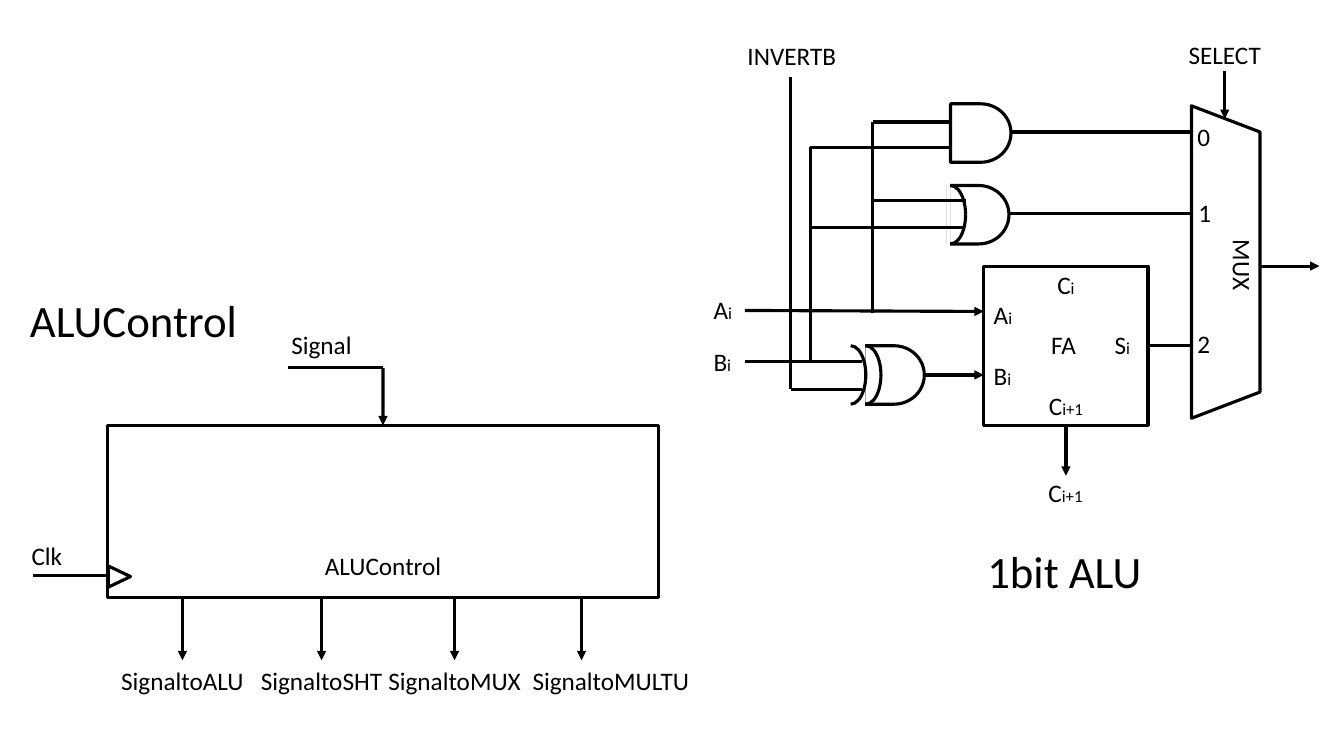
from dataclasses import dataclass
from typing import NamedTuple

from lxml import etree
from pptx import Presentation
from pptx.dml.color import RGBColor
from pptx.enum.shapes import MSO_CONNECTOR, MSO_SHAPE
from pptx.enum.text import MSO_ANCHOR, PP_ALIGN
from pptx.oxml.ns import qn
from pptx.shapes.autoshape import Shape
from pptx.shapes.connector import Connector
from pptx.shapes.shapetree import GroupShapes
from pptx.text.text import TextFrame
from pptx.util import Inches, Length, Pt

STRAIGHT = MSO_CONNECTOR.STRAIGHT
RECT, TRIANGLE = MSO_SHAPE.RECTANGLE, MSO_SHAPE.ISOSCELES_TRIANGLE
DELAY, ARC = MSO_SHAPE.FLOWCHART_DELAY, MSO_SHAPE.ARC
LEFT, CENTER = PP_ALIGN.LEFT, PP_ALIGN.CENTER
TOP_SIDE, BOTTOM_SIDE, RIGHT_SIDE = 0, 2, 3


@dataclass(frozen=True)
class Theme:
    font: str = "Calibri"
    ink: RGBColor = RGBColor(0, 0, 0)
    paper: RGBColor = RGBColor(255, 255, 255)
    line: float = 2.25
    title: int = 32
    label: int = 18
    index: int = 12


class Wire(NamedTuple):
    x1: float
    y1: float
    x2: float
    y2: float
    arrow: bool = False


class Label(NamedTuple):
    text: str
    x: float
    y: float
    w: float
    align: PP_ALIGN = CENTER
    rotation: int = 0


class Gate(NamedTuple):
    x: float
    y: float
    arc_offsets: tuple[float, ...] = ()


THEME = Theme()
LABEL_H = 4

# The grid has ten columns and ten rows to the inch
OUTPUTS = [("SignaltoALU", 18.1, 18.1, 15.6), ("SignaltoSHT", 31.9, 31.9, 15.6),
           ("SignaltoMUX", 45.1, 45.1, 18.4), ("SignaltoMULTU", 57.7, 60.6, 18.4)]
CONTROL_LABELS = [Label("Clk", 1.6, 53.1, 6.1), Label("ALUControl", 30.2, 54.1, 15.6),
                  Label("Signal", 23.6, 32.2, 16.6)]
GATES = [Gate(94.3, 10.3), Gate(94.1, 18.4, (1.3,)), Gate(85.7, 34.3, (1.3, 2.8))]
MUX_OUTLINE = [(118.2, 10.5), (125, 13.1), (125, 38.9), (118.2, 41.5)]
ALU_WIRES = [
    Wire(78.4, 7.6, 78.4, 38.6), Wire(78.5, 38.6, 85.5, 38.6),  # INVERTB
    Wire(73.9, 30.8, 97.6, 30.9, True), Wire(86.6, 12.1, 86.6, 31.1),  # A
    Wire(86.6, 12.1, 94.1, 12.1), Wire(86.7, 19.9, 95.8, 19.9),
    Wire(73.9, 35.9, 85.5, 35.9), Wire(80.4, 14.6, 80.4, 35.9),  # B
    Wire(80.4, 14.6, 94.3, 14.6), Wire(80.4, 22.6, 95.5, 22.6),
    Wire(100.4, 13.1, 118.2, 13.1), Wire(100.2, 21.2, 118.2, 21.2),  # gate outputs
    Wire(91.7, 37.2, 97.6, 37.2, True),
    Wire(121.5, 7, 121.5, 11.8, True), Wire(125, 26.4, 130.9, 26.4, True),  # MUX
]
ALU_LABELS = [
    Label("INVERTB", 72.5, 3.5, 12.1), Label("SELECT", 116.6, 3.4, 9.8),
    Label("A|i", 69.8, 28.7, 4.1, LEFT), Label("B|i", 69.8, 33.9, 4.1, LEFT),
    Label("0", 117.8, 11.5, 4.1, LEFT), Label("1", 117.9, 19.1, 4.1, LEFT),
    Label("2", 117.8, 32.1, 4.1, LEFT), Label("MUX", 119.7, 24.4, 7.2, LEFT, 90),
    Label("C|i+1", 100.8, 46.9, 9.8),
]
ADDER_ROWS = [("C|i", CENTER), ("A|i", LEFT), ("\tFA\tS|i", LEFT),
              ("B|i", LEFT), ("C|i+1", CENTER)]
ADDER_TABS = (5.7, 12)


def u(cells: float) -> Length:
    return Inches(cells / 10)


def write(tf: TextFrame, text: str, *, size: int = THEME.label,
          align: PP_ALIGN = CENTER, tabs: tuple[float, ...] = (),
          new: bool = False) -> None:
    """Write one paragraph; the part after a bar is set in index size."""
    tf.word_wrap = True
    tf.vertical_anchor = MSO_ANCHOR.TOP
    p = tf.add_paragraph() if new else tf.paragraphs[0]
    p.alignment = align
    if tabs:
        tab_list = etree.SubElement(p._p.get_or_add_pPr(), qn("a:tabLst"))
        for tab in tabs:
            etree.SubElement(tab_list, qn("a:tab"), pos=str(u(tab)), algn="l")
    for part, part_size in zip(text.split("|"), (size, THEME.index)):
        r = p.add_run()
        r.text = part
        r.font.name, r.font.size = THEME.font, Pt(part_size)
        r.font.color.rgb = THEME.ink


def add_label(shapes: GroupShapes, label: Label) -> None:
    sp = shapes.add_textbox(u(label.x), u(label.y), u(label.w), u(LABEL_H))
    sp.rotation = label.rotation
    write(sp.text_frame, label.text, align=label.align)


def style(sp: Shape, filled: bool) -> Shape:
    sp.shadow.inherit = False
    if filled:
        sp.fill.solid()
        sp.fill.fore_color.rgb = THEME.paper
    else:
        sp.fill.background()
    sp.line.color.rgb, sp.line.width = THEME.ink, Pt(THEME.line)
    return sp


def add_part(shapes: GroupShapes, kind: MSO_SHAPE, x: float, y: float,
             w: float, h: float, filled: bool = True) -> Shape:
    return style(shapes.add_shape(kind, u(x), u(y), u(w), u(h)), filled)


def add_wire(shapes: GroupShapes, wire: Wire, color: RGBColor = THEME.ink) -> Connector:
    cxn = shapes.add_connector(STRAIGHT, u(wire.x1), u(wire.y1), u(wire.x2), u(wire.y2))
    cxn.line.color.rgb, cxn.line.width = color, Pt(THEME.line)
    if wire.arrow:
        etree.SubElement(cxn.line._get_or_add_ln(), qn("a:tailEnd"), type="triangle")
    etree.SubElement(cxn._element.spPr, qn("a:effectLst"))
    return cxn


def add_gate(shapes: GroupShapes, gate: Gate) -> None:
    add_part(shapes, DELAY, gate.x, gate.y, 6, 5.8)
    if gate.arc_offsets:  # hide the straight back behind the curved one
        add_wire(shapes, Wire(gate.x, gate.y - 0.2, gate.x, gate.y + 6), THEME.paper)
    for offset in gate.arc_offsets:
        for flipped in (False, True):
            sp = add_part(shapes, ARC, gate.x - offset, gate.y, 3, 5.8, filled=False)
            if flipped:
                sp._element.spPr.xfrm.set("flipV", "1")


def draw_control(shapes: GroupShapes) -> None:
    box = add_part(shapes, RECT, 10.7, 42.2, 54.6, 17.1)
    add_part(shapes, TRIANGLE, 10.8, 56.1, 2.1, 2.2, filled=False).rotation = 90
    add_wire(shapes, Wire(3.3, 57.1, 10.7, 57.1))
    add_wire(shapes, Wire(28.6, 36.5, 38, 36.5))
    add_wire(shapes, Wire(38, 36.5, 38, 42.2, True)).end_connect(box, TOP_SIDE)
    for text, wire_x, label_x, width in OUTPUTS:
        add_wire(shapes, Wire(wire_x, 59.3, wire_x, 65.5, True))
        add_label(shapes, Label(text, label_x - width / 2, 65.5, width))
    for label in CONTROL_LABELS:
        add_label(shapes, label)


def draw_alu(shapes: GroupShapes) -> None:
    for gate in GATES:
        add_gate(shapes, gate)

    # Full adder with its carry and sum outputs
    adder = add_part(shapes, RECT, 97.6, 26.4, 16.3, 15.8)
    tf = adder.text_frame
    tf.margin_top = tf.margin_bottom = u(0.3)
    for i, (text, align) in enumerate(ADDER_ROWS):
        write(tf, text, align=align, tabs=ADDER_TABS if "\t" in text else (), new=i > 0)
    add_wire(shapes, Wire(105.75, 42.2, 105.75, 47.2, True)).begin_connect(adder, BOTTOM_SIDE)
    add_wire(shapes, Wire(113.9, 34.3, 118.2, 34.3)).begin_connect(adder, RIGHT_SIDE)

    # Multiplexer
    corners = [(u(x), u(y)) for x, y in MUX_OUTLINE]
    outline = shapes.build_freeform(*corners[0])
    outline.add_line_segments(corners[1:], close=True)
    style(outline.convert_to_shape(), filled=False)

    for wire in ALU_WIRES:
        add_wire(shapes, wire)
    for label in ALU_LABELS:
        add_label(shapes, label)


def main() -> None:
    prs = Presentation()
    prs.slide_width, prs.slide_height = u(133.33), u(75)
    slide = prs.slides.add_slide(prs.slide_layouts[5])

    # Diagrams
    draw_control(slide.shapes.add_group_shape().shapes)
    draw_alu(slide.shapes.add_group_shape().shapes)

    # Titles
    title = slide.shapes.title
    title.left, title.top, title.width, title.height = u(-0.4), u(28.5), u(27.3), u(6.4)
    write(title.text_frame, "ALUControl", size=THEME.title)
    caption = slide.shapes.add_textbox(u(94.7), u(53.4), u(21.8), u(6.4))
    write(caption.text_frame, "1bit ALU", size=THEME.title)

    prs.save("out.pptx")


if __name__ == "__main__":
    main()
